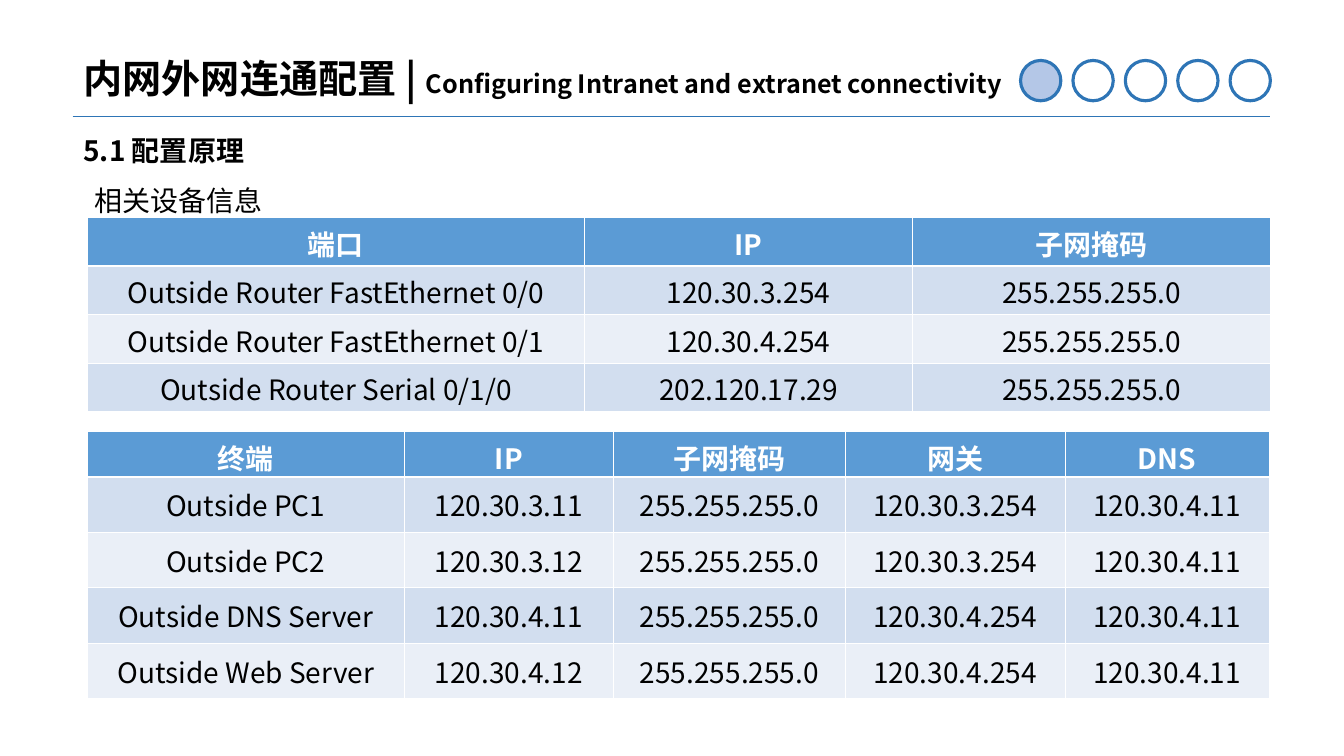
from dataclasses import dataclass

from lxml.etree import SubElement
from pptx import Presentation
from pptx.dml.color import RGBColor
from pptx.enum.shapes import MSO_CONNECTOR as Connector, MSO_SHAPE as Shape
from pptx.enum.text import MSO_ANCHOR as Anchor, MSO_AUTO_SIZE as AutoSize, PP_ALIGN as Align
from pptx.oxml.ns import qn
from pptx.slide import Slide
from pptx.table import _Cell as Cell
from pptx.text.text import _Paragraph as Paragraph
from pptx.util import Inches, Pt

FONT = "Noto Sans CJK SC"
COLORS = {
    "text": "000000",
    "white": "FFFFFF",
    "outline": "2E75B6",
    "active": "B4C7E7",
    "header": "5B9BD5",
    "odd": "D2DEEF",
    "even": "EAEFF7",
}
THIN, THICK = 0.45, 1.47


@dataclass
class Caption:
    text: str
    left: float
    top: float
    width: float
    height: float
    bold: bool


@dataclass
class AddressTable:
    top: float
    column_widths: list[float]
    header_height: float
    row_height: float
    rows: list[list[str]]


CAPTIONS = [
    Caption("5.1 配置原理", 0.73, 1.27, 6.6, 0.49, True),
    Caption("相关设备信息", 0.84, 1.77, 11.76, 0.57, False),
]
MASK = "255.255.255.0"
DNS = "120.30.4.11"
TABLES = [
    AddressTable(2.16, [4.93, 3.26, 3.55], 0.48, 0.48, [
        ["端口", "IP", "子网掩码"],
        ["Outside Router FastEthernet 0/0", "120.30.3.254", MASK],
        ["Outside Router FastEthernet 0/1", "120.30.4.254", MASK],
        ["Outside Router Serial 0/1/0", "202.120.17.29", MASK],
    ]),
    AddressTable(4.28, [3.14, 2.08, 2.3, 2.18, 2.03], 0.45, 0.55, [
        ["终端", "IP", "子网掩码", "网关", "DNS"],
        ["Outside PC1", "120.30.3.11", MASK, "120.30.3.254", DNS],
        ["Outside PC2", "120.30.3.12", MASK, "120.30.3.254", DNS],
        ["Outside DNS Server", "120.30.4.11", MASK, "120.30.4.254", DNS],
        ["Outside Web Server", "120.30.4.12", MASK, "120.30.4.254", DNS],
    ]),
]


def color(name: str) -> RGBColor:
    return RGBColor.from_string(COLORS[name])


def apply(target: object, formats: dict) -> None:
    for attribute, value in formats.items():
        setattr(target, attribute, value)


def add_text(paragraph: Paragraph, text: str, size: float, bold: bool, ink: str = "text") -> None:
    run = paragraph.add_run()
    run.text = text
    apply(run.font, {"name": FONT, "size": Pt(size), "bold": bold})
    run.font.color.rgb = color(ink)
    SubElement(run.font._element, qn("a:ea"), typeface=FONT)


def add_heading(slide: Slide) -> None:
    title = slide.shapes.title
    apply(title, {"left": Inches(0.73), "top": Inches(0.45),
                  "width": Inches(11.88), "height": Inches(0.71)})
    apply(title.text_frame, {"vertical_anchor": Anchor.MIDDLE, "word_wrap": True,
                             "auto_size": AutoSize.NONE})
    paragraph = title.text_frame.paragraphs[0]
    apply(paragraph, {"alignment": Align.LEFT, "line_spacing": 0.9})
    add_text(paragraph, "内网外网连通配置 | ", 28, True)
    add_text(paragraph, "Configuring Intranet and extranet connectivity", 18, True)


def add_rule(slide: Slide) -> None:
    rule = slide.shapes.add_connector(
        Connector.STRAIGHT, Inches(0.72), Inches(1.15), Inches(12.61), Inches(1.15))
    rule.line.color.rgb = color("outline")
    rule.line.width = Pt(0.5)
    SubElement(rule._element.spPr, qn("a:effectLst"))


def add_progress(slide: Slide, steps: int = 5, current: int = 0) -> None:
    for step in range(steps):
        circle = slide.shapes.add_shape(
            Shape.OVAL, Inches(10.13 + 0.52 * step), Inches(0.6), Inches(0.4), Inches(0.4))
        circle.shadow.inherit = False
        circle.line.color.rgb = color("outline")
        circle.line.width = Pt(2.25)
        if step == current:
            circle.fill.solid()
            circle.fill.fore_color.rgb = color("active")
        else:
            circle.fill.background()


def add_caption(slide: Slide, caption: Caption) -> None:
    box = slide.shapes.add_textbox(Inches(caption.left), Inches(caption.top),
                                   Inches(caption.width), Inches(caption.height))
    box.text_frame.word_wrap = True
    add_text(box.text_frame.paragraphs[0], caption.text, 20, caption.bold)


def add_borders(cell: Cell, top: float, bottom: float) -> None:
    properties = cell._tc.get_or_add_tcPr()
    for side, width in {"L": THIN, "R": THIN, "T": top, "B": bottom}.items():
        border = SubElement(properties, qn(f"a:ln{side}"), w=str(Pt(width)))
        fill = SubElement(border, qn("a:solidFill"))
        SubElement(fill, qn("a:srgbClr"), val=COLORS["white"])


def add_address_table(slide: Slide, content: AddressTable) -> None:
    heights = [content.header_height] + [content.row_height] * (len(content.rows) - 1)
    table = slide.shapes.add_table(
        len(heights), len(content.column_widths), Inches(0.87), Inches(content.top),
        Inches(sum(content.column_widths)), Inches(sum(heights))).table
    for column, width in zip(table.columns, content.column_widths):
        column.width = Inches(width)
    for index, (row, height, texts) in enumerate(zip(table.rows, heights, content.rows)):
        row.height = Inches(height)
        is_header = index == 0
        band = "header" if is_header else "odd" if index % 2 else "even"
        for cell, text in zip(row.cells, texts):
            apply(cell, {"vertical_anchor": Anchor.MIDDLE,
                         "margin_left": Inches(0.11), "margin_right": Inches(0.11),
                         "margin_top": Inches(0.05), "margin_bottom": Inches(0.05)})
            add_borders(cell, THICK if index == 1 else THIN, THICK if is_header else THIN)
            cell.fill.solid()
            cell.fill.fore_color.rgb = color(band)
            paragraph = cell.text_frame.paragraphs[0]
            paragraph.alignment = Align.CENTER
            add_text(paragraph, text, 20, is_header, "white" if is_header else "text")


def main() -> None:
    presentation = Presentation()
    apply(presentation, {"slide_width": Inches(13.34), "slide_height": Inches(7.5)})
    slide = presentation.slides.add_slide(presentation.slide_layouts[5])
    add_rule(slide)
    add_heading(slide)
    add_progress(slide)
    for caption in CAPTIONS:
        add_caption(slide, caption)
    for content in TABLES:
        add_address_table(slide, content)
    presentation.save("out.pptx")


if __name__ == "__main__":
    main()
